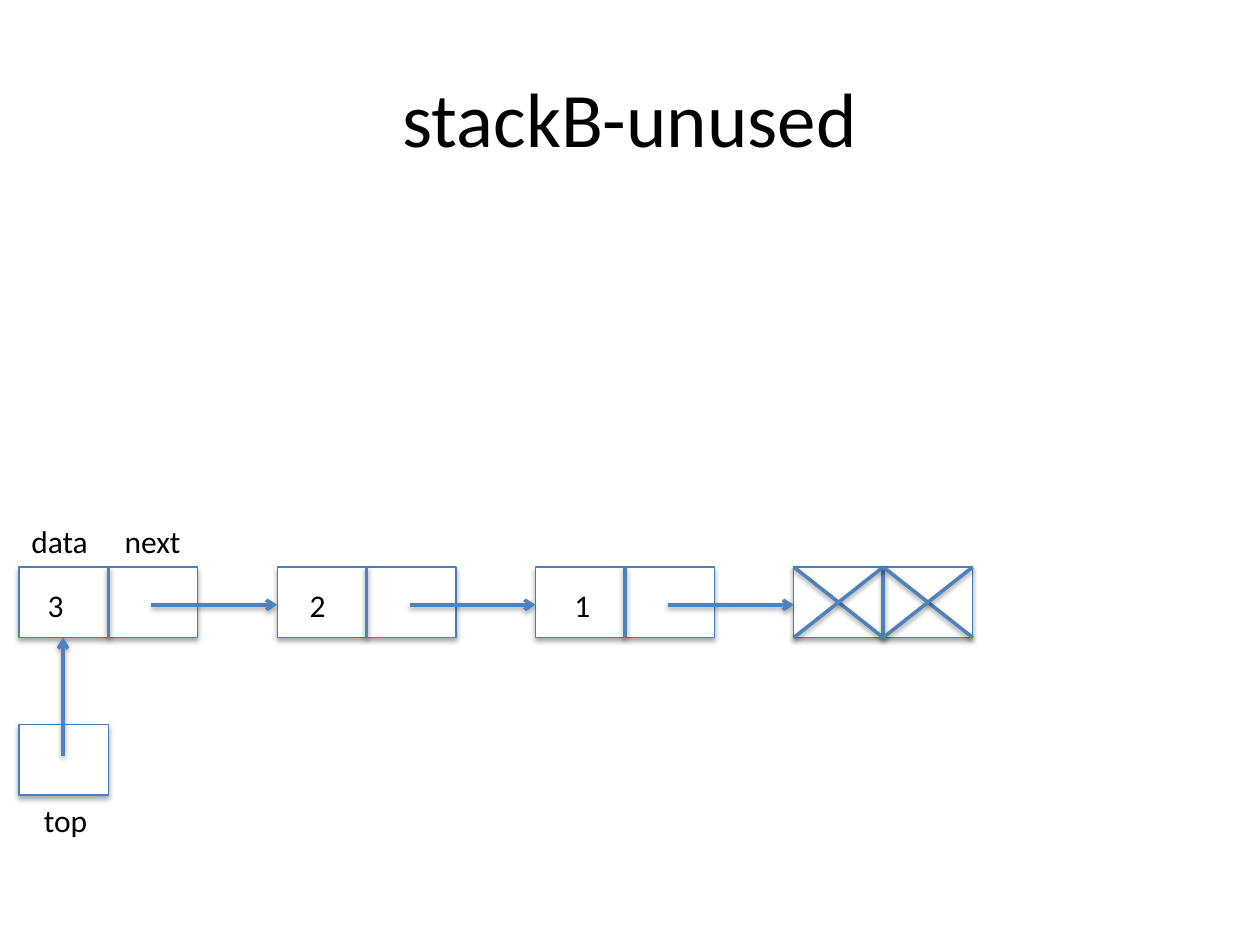
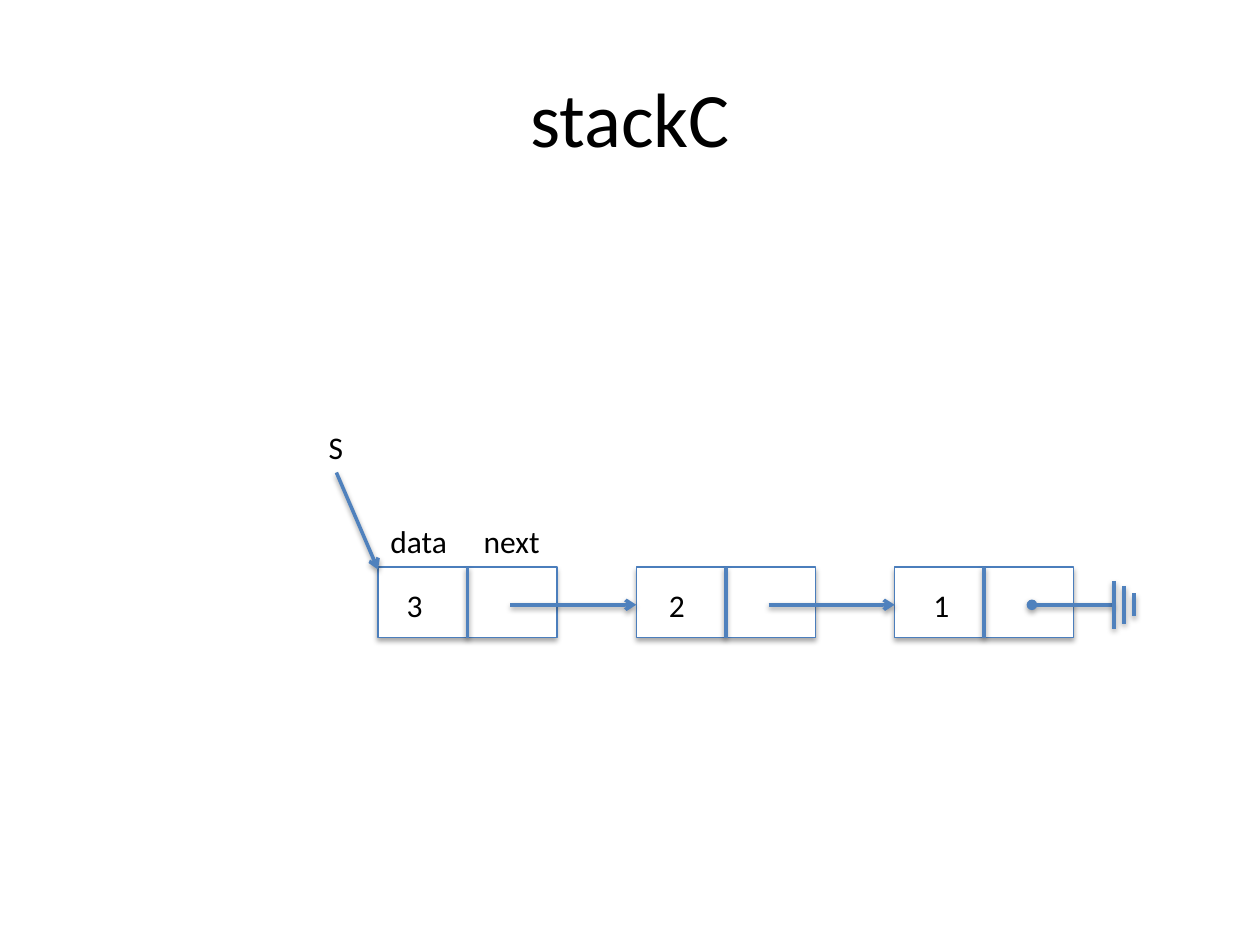
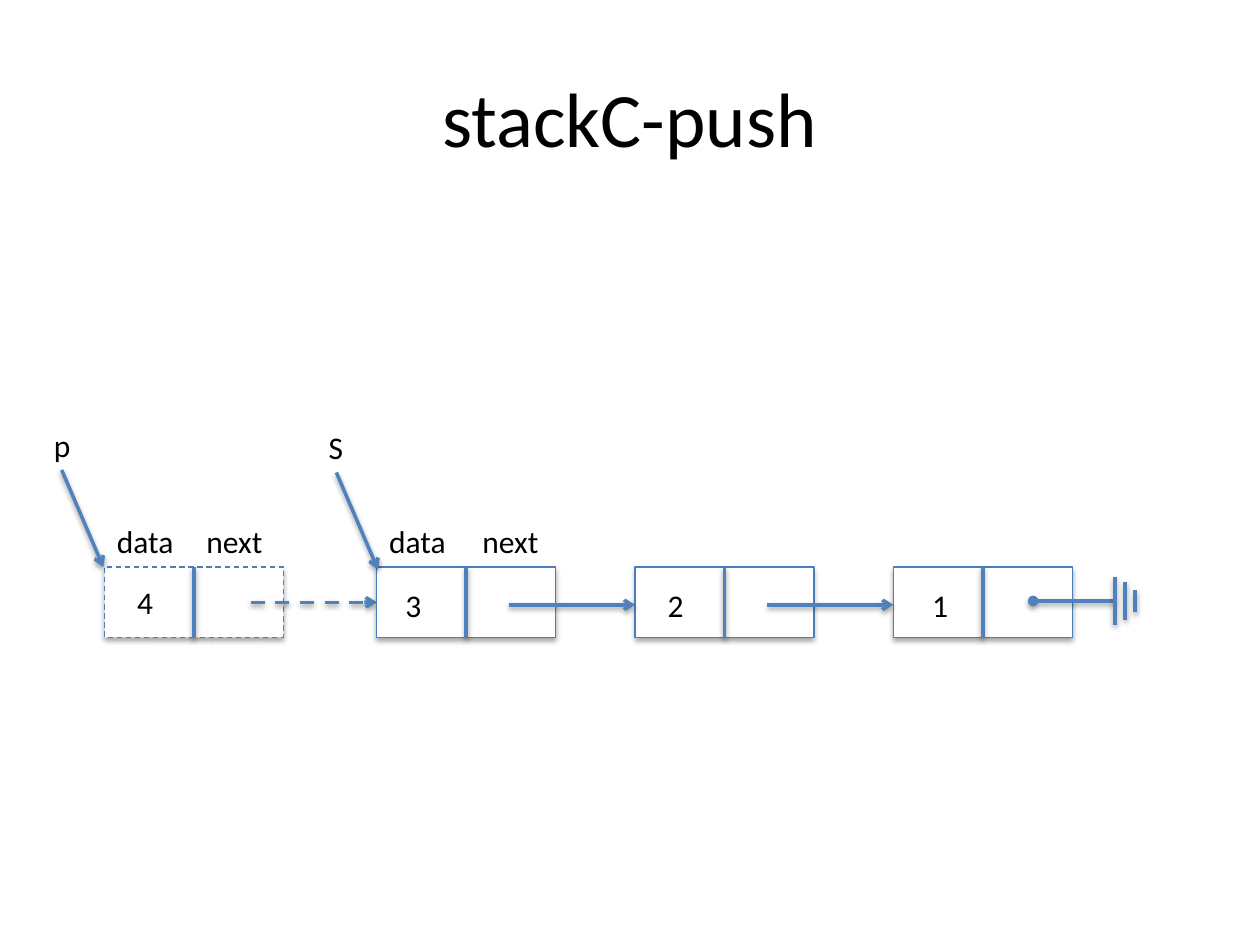
from lxml.etree import SubElement
from pptx import Presentation
from pptx.dml.color import RGBColor
from pptx.enum.dml import MSO_LINE_DASH_STYLE as DASH
from pptx.enum.shapes import MSO_CONNECTOR, MSO_SHAPE
from pptx.enum.text import MSO_ANCHOR, MSO_AUTO_SIZE, PP_ALIGN
from pptx.oxml.ns import qn
from pptx.util import Inches, Pt

FONT = "Calibri"
BLACK, WHITE = "000000", "FFFFFF"
EDGE, STROKE = "4B7EBC", "4F81BD"
CELL_W, CELL_H = 0.71, 0.56
NODE_TOP, PITCH = 4.5, 2.05
LINK_Y = 4.8
VALUES = (("3", 0.13), ("2", 0.16), ("1", 0.21))


def color(value):
    return RGBColor.from_string(value)


def write(tf, text, size=18, align=PP_ALIGN.LEFT):
    p = tf.paragraphs[0]
    p.alignment = align
    r = p.add_run()
    r.text = text
    r.font.name = FONT
    r.font.size = Pt(size)
    r.font.color.rgb = color(BLACK)


def add_shadow(sp, alpha, distance):
    effects = SubElement(sp._element.spPr, qn("a:effectLst"))
    shadow = SubElement(effects, qn("a:outerShdw"), blurRad=str(Pt(3.1)),
                        dist=str(Pt(distance)), dir="5400000", rotWithShape="0")
    rgb = SubElement(shadow, qn("a:srgbClr"), val=BLACK)
    SubElement(rgb, qn("a:alpha"), val=str(alpha * 1000))


def style_line(line, rgb, width, dashed):
    line.color.rgb = color(rgb)
    line.width = Pt(width)
    if dashed:
        line.dash_style = DASH.DASH


def add_line(s, x1, y1, x2, y2, head=None, tail=None, dashed=False):
    sp = s.shapes.add_connector(MSO_CONNECTOR.STRAIGHT, Inches(x1), Inches(y1),
                                Inches(x2), Inches(y2))
    style_line(sp.line, STROKE, 2, dashed)
    ln = sp._element.spPr.find(qn("a:ln"))
    for tag, kind in (("a:headEnd", head), ("a:tailEnd", tail)):
        if kind:
            SubElement(ln, qn(tag), type=kind)
    add_shadow(sp, 38, 1.6)


def add_arrow(s, x1, y1, x2, y2, dashed=False):
    add_line(s, x1, y1, x2, y2, tail="arrow", dashed=dashed)


def add_box(s, x, y, w, dashed=False):
    sp = s.shapes.add_shape(MSO_SHAPE.RECTANGLE, Inches(x), Inches(y),
                            Inches(w), Inches(CELL_H))
    sp.fill.solid()
    sp.fill.fore_color.rgb = color(WHITE)
    style_line(sp.line, EDGE, 0.75, dashed)
    add_shadow(sp, 35, 1.8)


def add_label(s, text, x, y, w=0.33):
    tf = s.shapes.add_textbox(Inches(x), Inches(y), Inches(w), Inches(0.4)).text_frame
    tf.word_wrap = False
    tf.auto_size = MSO_AUTO_SIZE.SHAPE_TO_FIT_TEXT
    write(tf, text)


def add_node(s, x, dashed=False):
    add_box(s, x, NODE_TOP, 2 * CELL_W, dashed)
    add_line(s, x + CELL_W, NODE_TOP, x + CELL_W, NODE_TOP + CELL_H)


def add_field_names(s, x, gap=0.74):
    add_label(s, "data", x, 4.09, 0.66)
    add_label(s, "next", x + gap, 4.09, 0.65)


def add_list(s, x, node_count=3):
    for i in range(node_count):
        add_node(s, x + i * PITCH)
    for i in range(node_count - 1):
        start = x + i * PITCH + 1.05
        add_arrow(s, start, LINK_Y, start + 1, LINK_Y)
    for i, (value, inset) in enumerate(VALUES):
        add_label(s, value, x + i * PITCH + inset, 4.6)
    add_field_names(s, x)


def add_cross(s, x):
    bottom = NODE_TOP + CELL_H
    add_line(s, x, NODE_TOP, x + CELL_W, bottom)
    add_line(s, x, bottom, x + CELL_W, NODE_TOP)


def add_ground(s, x, y):
    add_line(s, x, y, x + 0.65, y, head="oval")
    for i, half in enumerate((0.19, 0.15, 0.09)):
        bar_x = x + 0.65 + i * 0.08
        add_line(s, bar_x, y - half, bar_x, y + half)


def add_pointer(s, name, x, y):
    add_arrow(s, x + 0.16, y + 0.4, x + 0.49, y + 1.17)
    add_label(s, name, x, y)


def add_slide(prs, title):
    s = prs.slides.add_slide(prs.slide_layouts[5])
    sp = s.shapes.title
    sp.left, sp.top, sp.width, sp.height = (Inches(v) for v in (0.5, 0.3, 9, 1.25))
    sp.text_frame.vertical_anchor = MSO_ANCHOR.MIDDLE
    write(sp.text_frame, title, size=44, align=PP_ALIGN.CENTER)
    return s


def build_unused(prs):
    s = add_slide(prs, "stackB-unused")
    x = 0.15
    add_list(s, x, node_count=4)
    for i in range(2):
        add_cross(s, x + 3 * PITCH + i * CELL_W)
    add_box(s, x, 5.75, CELL_W)
    add_arrow(s, 0.5, 6, 0.5, NODE_TOP + CELL_H)
    add_label(s, "top", 0.25, 6.31, 0.55)


def build_stack(prs):
    s = add_slide(prs, "stackC")
    add_list(s, 3)
    add_ground(s, 8.19, LINK_Y)
    add_pointer(s, "S", 2.51, 3.35)


def build_push(prs):
    s = add_slide(prs, "stackC-push")
    new_x = 0.83
    add_node(s, new_x, dashed=True)
    add_label(s, "4", new_x + 0.16, 4.58)
    add_arrow(s, 1.99, 4.78, 2.99, 4.78, dashed=True)
    add_field_names(s, new_x, gap=CELL_W)
    add_list(s, 2.99)
    add_ground(s, 8.2, 4.77)
    add_pointer(s, "S", 2.51, 3.35)
    add_pointer(s, "p", 0.33, 3.33)


def main():
    prs = Presentation()
    prs.slide_width, prs.slide_height = Inches(10), Inches(7.5)
    build_unused(prs)
    build_stack(prs)
    build_push(prs)
    prs.save("out.pptx")


main()
